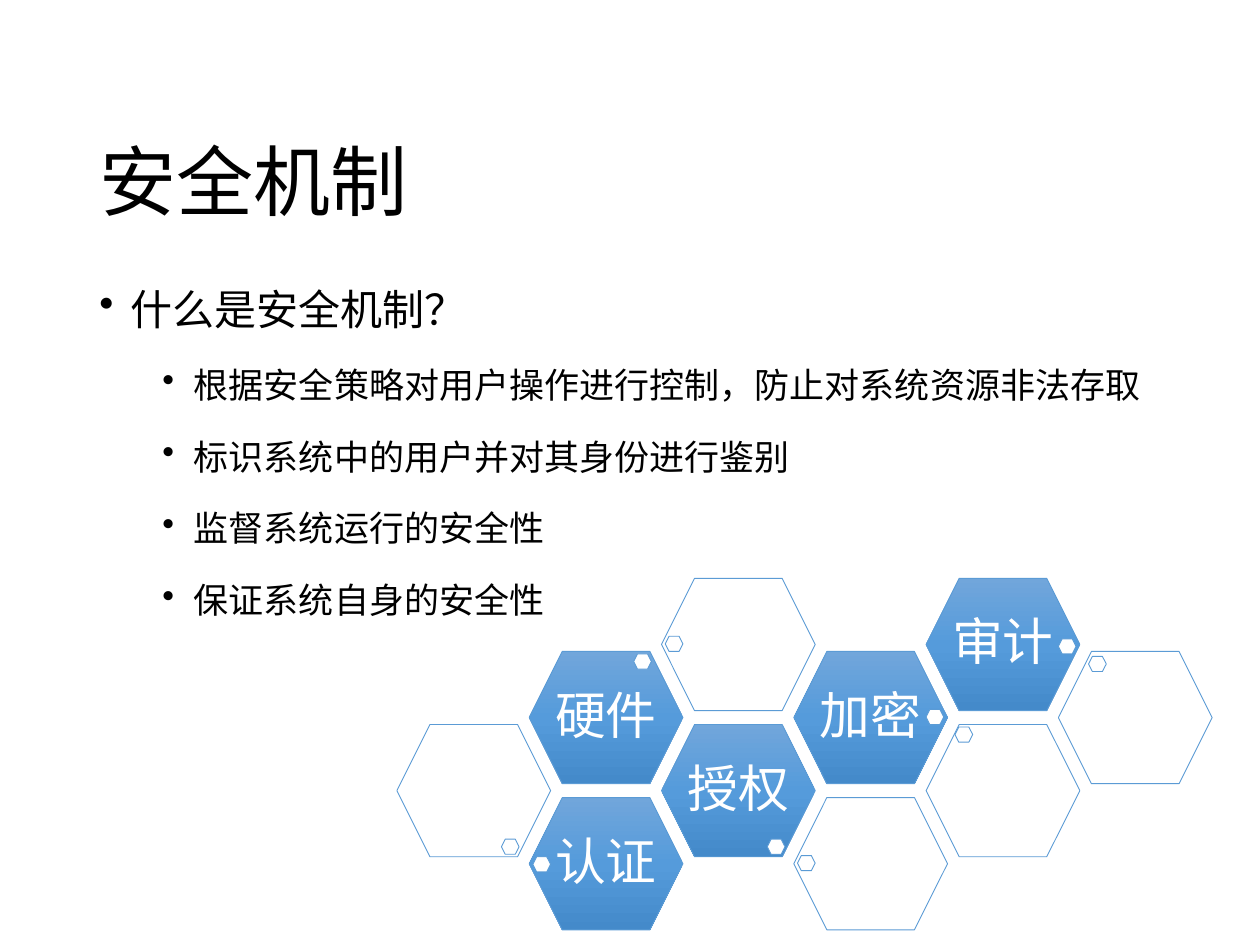
import copy

import pptx
import pptx.dml.color
import pptx.enum.lang
import pptx.enum.shapes
import pptx.enum.text
import pptx.oxml
import pptx.oxml.ns
import pptx.util

RGB = pptx.dml.color.RGBColor
Inch = pptx.util.Inches
Pt = pptx.util.Pt
qn = pptx.oxml.ns.qn
Align = pptx.enum.text.PP_ALIGN
Anchor = pptx.enum.text.MSO_ANCHOR

FONT = "Noto Sans CJK SC"
BLACK = RGB(0x00, 0x00, 0x00)
WHITE = RGB(0xFF, 0xFF, 0xFF)
EDGE = RGB(0x5B, 0x9B, 0xD5)
SHADES = (RGB(0x71, 0xA6, 0xDB), RGB(0x55, 0x9B, 0xDB), RGB(0x44, 0x8A, 0xCA))


def add_run(para, text, size, color):
    run = para.add_run()
    run.text = text
    font = run.font
    font.size, font.name, font.color.rgb = Pt(size), FONT, color
    font.language_id = pptx.enum.lang.MSO_LANGUAGE_ID.SIMPLIFIED_CHINESE
    east = pptx.oxml.parse_xml(
        f'<a:ea {pptx.oxml.ns.nsdecls("a")} typeface="{FONT}"/>')
    font._element.find(qn("a:latin")).addnext(east)


def add_hex(left, top, wide, high):
    """Add a white hexagon with a thin blue edge."""
    cell = slide.shapes.add_shape(
        pptx.enum.shapes.MSO_SHAPE.HEXAGON,
        Inch(left), Inch(top), Inch(wide), Inch(high))
    cell.shadow.inherit = False
    cell.fill.solid()
    cell.fill.fore_color.rgb = WHITE
    cell.line.color.rgb = EDGE
    cell.line.width = Pt(0.5)
    return cell


deck = pptx.Presentation()
deck.slide_width, deck.slide_height = Inch(10), Inch(7.5)
slide = deck.slides.add_slide(deck.slide_layouts[5])

# Title
MARGIN, WIDE = 0.69, 8.62
title = slide.shapes.title
title.left, title.top = Inch(MARGIN), Inch(0.4)
title.width, title.height = Inch(WIDE), Inch(1.45)
frame = title.text_frame
frame.auto_size = pptx.enum.text.MSO_AUTO_SIZE.NONE
frame.vertical_anchor = Anchor.BOTTOM
para = frame.paragraphs[0]
para.alignment = Align.LEFT
para.line_spacing = 0.9
add_run(para, "安全机制", 44, BLACK)

# Bulleted text: level, wording
POINTS = (
    (0, "什么是安全机制？"),
    (1, "根据安全策略对用户操作进行控制，防止对系统资源非法存取"),
    (1, "标识系统中的用户并对其身份进行鉴别"),
    (1, "监督系统运行的安全性"),
    (1, "保证系统自身的安全性"),
)
body = slide.shapes.add_textbox(Inch(MARGIN), Inch(2), Inch(WIDE), Inch(4.76))
frame = body.text_frame
frame.word_wrap = True
for spot, (level, text) in enumerate(POINTS):
    para = frame.add_paragraph() if spot else frame.paragraphs[0]
    para.level = level
    props = para._p.get_or_add_pPr()
    props.set("marL", str(Inch(0.25 + 0.5 * level)))
    props.set("indent", str(Inch(-0.25)))
    mark = pptx.oxml.parse_xml(
        f'<a:buChar {pptx.oxml.ns.nsdecls("a")} char="•"/>')
    props.append(mark)
    para.line_spacing = 1.5
    if spot:
        para.space_before = Pt(5)
    add_run(para, text, 24 - 4 * level, BLACK)

# Honeycomb: column, row, label, offset of the small hexagon
LEFT, TOP, COL, ROW = 3.15, 4.59, 1.05, 0.58
CELLS = (
    (1, 3, "认证", 0.03, 0.47),
    (0, 2, "", 0.83, 0.91),
    (2, 2, "授权", 0.84, 0.91),
    (3, 3, "", 0.03, 0.46),
    (1, 1, "硬件", 0.83, 0.02),
    (2, 0, "", 0.03, 0.46),
    (3, 1, "加密", 1.05, 0.46),
    (4, 2, "", 0.23, 0.02),
    (4, 0, "审计", 1.05, 0.48),
    (5, 1, "", 0.24, 0.04),
)
for col, row, label, dx, dy in CELLS:
    x, y = LEFT + col * COL, TOP + row * ROW
    cell = add_hex(x, y, 1.22, 1.05)
    if label:
        cell.fill.gradient()
        cell.fill.gradient_angle = 270
        stops = cell._element.spPr.find(qn("a:gradFill")).find(qn("a:gsLst"))
        stops.insert(1, copy.deepcopy(stops[0]))
        for step, (stop, shade) in enumerate(
                zip(cell.fill.gradient_stops, SHADES)):
            stop.position = step / 2
            stop.color.rgb = shade
        frame = cell.text_frame
        frame.word_wrap = False
        frame.vertical_anchor = Anchor.MIDDLE
        frame.margin_left = frame.margin_right = 0
        frame.margin_top = frame.margin_bottom = Inch(0.04)
        para = frame.paragraphs[0]
        para.alignment = Align.CENTER
        para.line_spacing = 0.9
        add_run(para, label, 29, WHITE)
    else:
        tint = cell._element.spPr.find(qn("a:solidFill"))[0]
        tint.append(pptx.oxml.parse_xml(
            f'<a:alpha {pptx.oxml.ns.nsdecls("a")} val="90000"/>'))
    add_hex(x + dx, y + dy, 0.14, 0.12)

deck.save("out.pptx")
